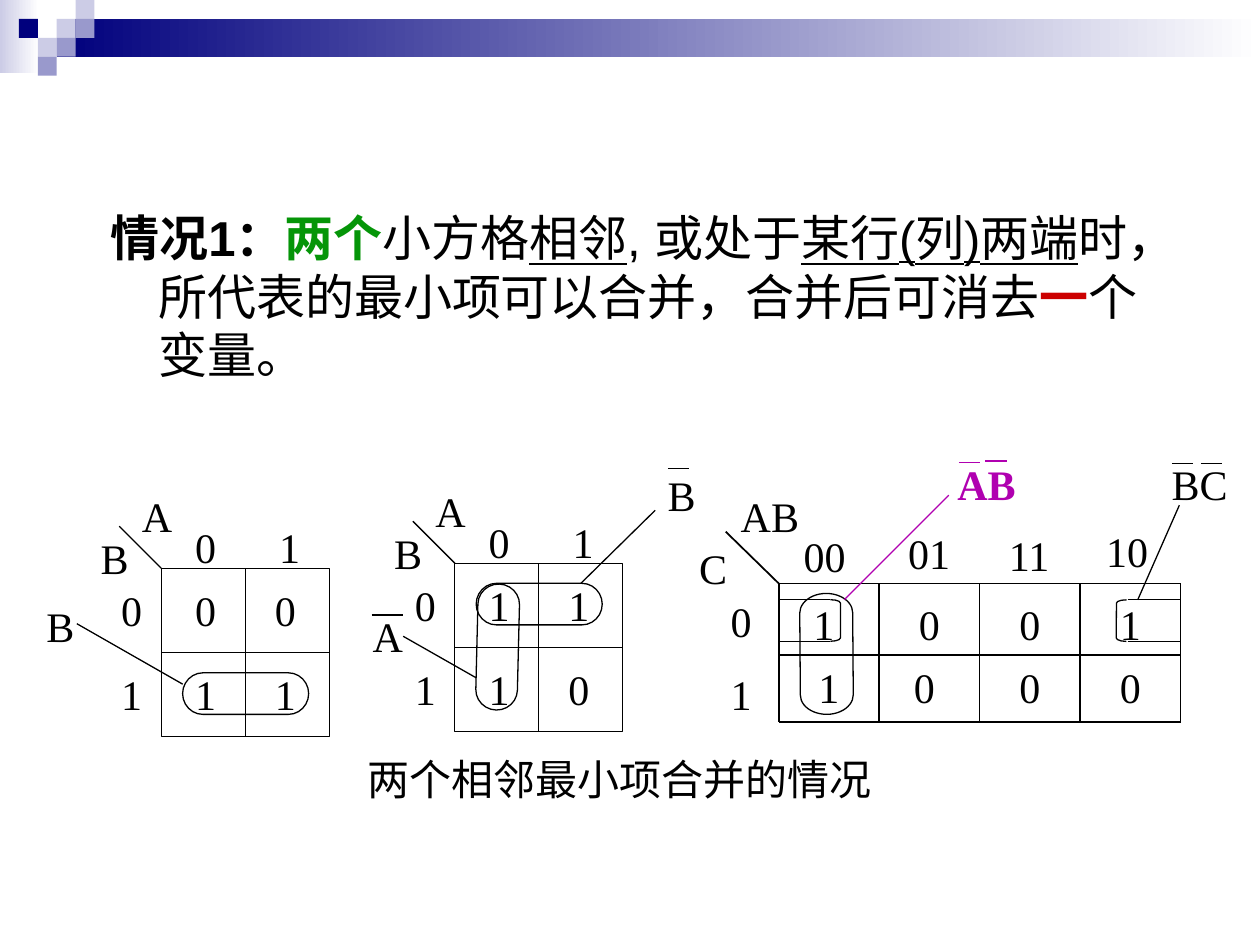
from dataclasses import dataclass
from typing import NamedTuple

from pptx import Presentation
from pptx.dml.color import RGBColor
from pptx.enum.shapes import MSO_CONNECTOR, MSO_SHAPE
from pptx.enum.text import PP_ALIGN
from pptx.oxml.ns import qn
from pptx.util import Inches, Pt

RECT, PILL = MSO_SHAPE.RECTANGLE, MSO_SHAPE.FLOWCHART_TERMINATOR
BRACKET = MSO_SHAPE.RIGHT_BRACKET
STRAIGHT = MSO_CONNECTOR.STRAIGHT
LEFT, CENTER = PP_ALIGN.LEFT, PP_ALIGN.CENTER
SERIF, SANS, CJK = "Times New Roman", "Arial", "Noto Sans CJK SC"
COLORS = {"ink": "000000", "navy": "00007D", "pale": "CCCCE6", "mid": "9999CC",
          "white": "FFFFFF", "green": "059508", "red": "CC0000", "purple": "B000B0"}
CELL = 2 / 3               # side of a cell in the two-variable maps
TILE = 0.15                # side of a header tile
WIDE_X, WIDE_Y, WIDE_W = 6.18, 4.63, 3.19
WIDE_COL = WIDE_W / 4
WIDE_ROWS = (0, 0.57, 1.1)  # horizontal rules of the three-variable map


class Label(NamedTuple):
    text: str
    x: float
    y: float
    w: float = 0.44
    color: str = "ink"
    bold: bool = False
    align: PP_ALIGN = LEFT


class Line(NamedTuple):
    x1: float
    y1: float
    x2: float
    y2: float
    color: str = "ink"
    width: float = 0.75


class Outline(NamedTuple):
    kind: MSO_SHAPE
    x: float
    y: float
    w: float
    h: float
    rotation: float = 0


class Run(NamedTuple):
    text: str
    color: str = "ink"
    bold: bool = False
    underline: bool = False


@dataclass
class SquareMap:
    """Two-variable map, with its values listed row by row."""
    x: float
    y: float
    values: tuple[str, str]


SQUARE_MAPS = [SquareMap(1.28, 4.51, ("00", "11")), SquareMap(3.61, 4.47, ("11", "10"))]
WIDE_VALUES = ("1001", "1000")
TILES = [(3, 1, "pale"), (4, 0, "pale"), (4, 1, "mid"), (2, 2, "pale"),
         (1, 1, "navy"), (3, 2, "mid"), (2, 3, "mid")]
BODY = [Run("情况1：", bold=True), Run("两个", "green", True), Run("小方格"),
        Run("相邻", underline=True), Run(", 或处于"), Run("某行(列)两端", underline=True),
        Run("时，所代表的最小项可以合并，合并后可消去"), Run("一", "red", True),
        Run("个变量。")]
LABELS = [
    Label("B", 0.27, 4.72), Label("B", 5.2, 3.68), Label("A", 2.86, 4.8),
    Label("00", 6.28, 4.16, 0.6), Label("01", 7.11, 4.14, 0.6),
    Label("11", 7.91, 4.15, 0.6), Label("10", 8.68, 4.12, 0.6),
    Label("AB", 5.78, 3.84, 0.75), Label("C", 5.45, 4.26),
    Label("0", 5.7, 4.68), Label("1", 5.7, 5.26),
    Label("AB", 7.5, 3.59, 0.66, "purple", True, CENTER), Label("BC", 9.2, 3.59, 0.75),
]
LEADERS = [
    Line(1.45, 5.43, 0.61, 4.95), Line(4.61, 4.63, 5.2, 4.05),
    Line(3.78, 5.38, 3.2, 5.05), Line(6.7, 4.76, 7.53, 3.93, "purple"),
    Line(9.03, 4.76, 9.36, 4.01),
]
NEGATION_BARS = [
    Line(5.3, 3.72, 5.47, 3.72), Line(2.95, 4.88, 3.2, 4.88),
    Line(7.82, 3.66, 7.99, 3.66, "purple"), Line(7.61, 3.67, 7.78, 3.67, "purple"),
    Line(9.3, 3.68, 9.47, 3.68), Line(9.53, 3.68, 9.7, 3.68),
]
BRACKET_ARMS = [Line(x, y, edge, y) for x, edge in ((6.59, 6.18), (8.95, 9.37))
                for y in (4.76, 5.09)]
LOOPS = [
    Outline(PILL, 1.45, 5.34, 1, 0.33), Outline(PILL, 3.78, 4.63, 1, 0.33),
    Outline(PILL, 3.45, 4.97, 1, 0.33, 271.4), Outline(PILL, 6.08, 4.98, 0.96, 0.42, 89.6),
    Outline(BRACKET, 6.59, 4.76, 0.08, 0.33), Outline(BRACKET, 8.86, 4.76, 0.08, 0.33, 180.3),
]


def rgb(name: str) -> RGBColor:
    return RGBColor.from_string(COLORS[name])


def add_block(s, x: float, y: float, w: float, h: float, color: str, fade: bool = False) -> None:
    """Borderless rectangle, plain or fading to white on the right."""
    sp = s.shapes.add_shape(RECT, Inches(x), Inches(y), Inches(w), Inches(h))
    sp.shadow.inherit = False
    sp.line.fill.background()
    if fade:
        sp.fill.gradient()
        sp.fill.gradient_angle = 0
        for stop, name in zip(sp.fill.gradient_stops, (color, "white")):
            stop.color.rgb = rgb(name)
    else:
        sp.fill.solid()
        sp.fill.fore_color.rgb = rgb(color)


def add_outline(s, o: Outline) -> None:
    sp = s.shapes.add_shape(o.kind, Inches(o.x), Inches(o.y), Inches(o.w), Inches(o.h))
    sp.shadow.inherit = False
    sp.rotation = o.rotation
    sp.fill.background()
    sp.line.color.rgb = rgb("ink")
    sp.line.width = Pt(0.75)
    if o.kind == BRACKET:
        sp.adjustments[0] = 0.33


def add_line(s, ln: Line) -> None:
    c = s.shapes.add_connector(STRAIGHT, *map(Inches, ln[:4]))
    c.line.color.rgb = rgb(ln.color)
    c.line.width = Pt(ln.width)
    c._element.spPr.append(c._element.makeelement(qn("a:effectLst"), {}))


def add_label(s, lb: Label) -> None:
    tf = s.shapes.add_textbox(Inches(lb.x), Inches(lb.y), Inches(lb.w), Inches(0.5)).text_frame
    tf.word_wrap = False
    p = tf.paragraphs[0]
    p.text, p.alignment = lb.text, lb.align
    p.font.name, p.font.size, p.font.bold = SERIF, Pt(24), lb.bold
    p.font.color.rgb = rgb(lb.color)


def add_prose(s, x: float, y: float, w: float, h: float, runs: list[Run], size: int, latin: str):
    """Wrapped Chinese paragraph; returns it for further layout."""
    tf = s.shapes.add_textbox(Inches(x), Inches(y), Inches(w), Inches(h)).text_frame
    tf.word_wrap = True
    p = tf.paragraphs[0]
    for run in runs:
        r = p.add_run()
        r.text = run.text
        f = r.font
        f.name, f.size, f.bold, f.underline = latin, Pt(size), run.bold, run.underline
        f.color.rgb = rgb(run.color)
        rpr = r._r.get_or_add_rPr()
        rpr.append(rpr.makeelement(qn("a:ea"), {"typeface": CJK}))
    return p


def add_square_map(s, m: SquareMap) -> None:
    def label(text: str, col: float, row: float, w: float = 0.37) -> None:
        add_label(s, Label(text, m.x + col * CELL, m.y + row * CELL, w, align=CENTER))

    side = 2 * CELL
    add_outline(s, Outline(RECT, m.x, m.y, side, side))
    add_line(s, Line(m.x, m.y + CELL, m.x + side, m.y + CELL))
    add_line(s, Line(m.x + CELL, m.y, m.x + CELL, m.y + side))
    add_line(s, Line(m.x, m.y, m.x - CELL / 2, m.y - CELL / 2))
    label("A", -0.38, -1, 0.44)
    label("B", -0.87, -0.5, 0.42)
    for i, row in enumerate(m.values):
        label(str(i), 0.25 + i, -0.63)
        label(str(i), -0.63, 0.12 + i)
        for j, value in enumerate(row):
            label(value, 0.25 + 0.95 * j, 0.12 + i)


def add_wide_map(s) -> None:
    right, bottom = WIDE_X + WIDE_W, WIDE_Y + WIDE_ROWS[-1]
    for dy in WIDE_ROWS:
        add_line(s, Line(WIDE_X, WIDE_Y + dy, right, WIDE_Y + dy, width=1))
    for j in range(5):
        x = WIDE_X + j * WIDE_COL
        add_line(s, Line(x, WIDE_Y, x, bottom, width=1))
    add_line(s, Line(WIDE_X - 0.42, WIDE_Y - 0.41, WIDE_X, WIDE_Y, width=1))
    for i, row in enumerate(WIDE_VALUES):
        for j, value in enumerate(row):
            nudge = 0.04 if i == j else 0
            add_label(s, Label(value, WIDE_X + j * WIDE_COL - nudge, 4.7 + 0.5 * i,
                               WIDE_COL, align=CENTER))


def main() -> None:
    prs = Presentation()
    prs.slide_width, prs.slide_height = Inches(10), Inches(7.5)
    s = prs.slides.add_slide(prs.slide_layouts[6])
    add_block(s, 0, 0, 0.31, 0.58, "pale", fade=True)
    add_block(s, 3 * TILE, TILE, 10 - 3 * TILE, 2 * TILE, "navy", fade=True)
    for col, row, color in TILES:
        add_block(s, col * TILE, row * TILE, TILE, TILE, color)

    p = add_prose(s, 0.78, 1.6, 8.67, 2.08, BODY, 28, SANS)
    p.line_spacing = Pt(33.5)
    ppr = p._p.get_or_add_pPr()
    ppr.set("marL", str(Inches(0.38)))
    ppr.set("indent", str(-Inches(0.38)))
    add_prose(s, 2.82, 5.93, 4.96, 0.5, [Run("两个相邻最小项合并的情况")], 24, CJK)

    for m in SQUARE_MAPS:
        add_square_map(s, m)
    add_wide_map(s)
    for loop in LOOPS:
        add_outline(s, loop)
    for ln in LEADERS + NEGATION_BARS + BRACKET_ARMS:
        add_line(s, ln)
    for lb in LABELS:
        add_label(s, lb)
    prs.save("out.pptx")


if __name__ == "__main__":
    main()
